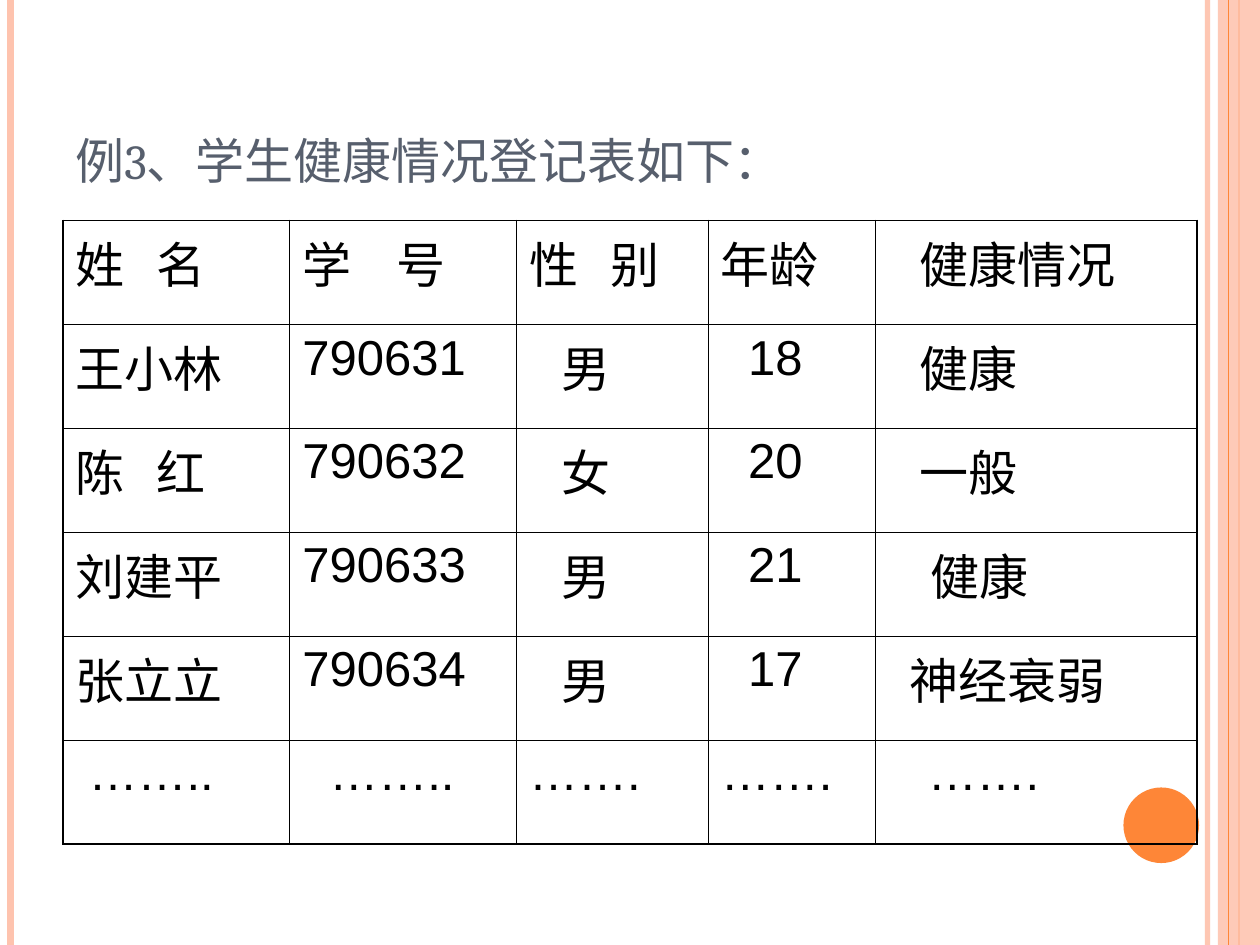
from pptx import Presentation
from pptx.dml.color import RGBColor
from pptx.enum.shapes import MSO_CONNECTOR as Connector, MSO_SHAPE as Shape
from pptx.enum.text import MSO_ANCHOR as Anchor
from pptx.oxml import parse_xml
from pptx.oxml.ns import nsdecls, qn
from pptx.util import Pt

WIDTH, HEIGHT = 720, 540
PEACH, ORANGE, SLATE, BLACK = "FEC3AE", "FE8637", "575F6D", "000000"
INSET = 7.2


def color(hex_value):
    return RGBColor.from_string(hex_value)


def element(tag, attributes="", content=""):
    """Parse one DrawingML element."""
    return parse_xml(f'<a:{tag} {nsdecls("a")} {attributes}>{content}</a:{tag}>')


def set_alpha(properties, percent):
    """Make the colour inside a shape's or line's properties translucent."""
    srgb = next(properties.iter(qn("a:srgbClr")))
    srgb.append(element("alpha", f'val="{percent * 1000}"'))


class SlideBuilder:
    title_format = {"size": Pt(28), "name": "Cambria"}
    cell_format = {"size": Pt(28), "name": "Arial"}
    outer_border, inner_border = 1.08, 0.45

    def __init__(self, slide):
        self.slide = slide

    def add_text(self, paragraph, text, format_values, hex_value):
        run = paragraph.add_run()
        run.text = text
        for attribute, value in format_values.items():
            setattr(run.font, attribute, value)
        run.font.color.rgb = color(hex_value)

    def stripe(self, x, hex_value, width, alpha=None):
        line = self.slide.shapes.add_connector(
            Connector.STRAIGHT, Pt(x), Pt(0), Pt(x), Pt(HEIGHT))
        line.line.color.rgb = color(hex_value)
        line.line.width = Pt(width)
        properties = line._element.spPr
        if alpha:
            set_alpha(properties, alpha)
        properties.append(element("effectLst"))

    def shape(self, kind, x, y, width, height, hex_value, alpha=None):
        shape = self.slide.shapes.add_shape(kind, Pt(x), Pt(y), Pt(width), Pt(height))
        shape.shadow.inherit = False
        shape.fill.solid()
        shape.fill.fore_color.rgb = color(hex_value)
        shape.line.fill.background()
        if alpha:
            set_alpha(shape._element.spPr, alpha)

    def title(self, text, x, y, width, height):
        frame = self.slide.shapes.add_textbox(
            Pt(x), Pt(y), Pt(width), Pt(height)).text_frame
        frame.word_wrap = True
        frame.vertical_anchor = Anchor.BOTTOM
        self.add_text(frame.paragraphs[0], text, self.title_format, SLATE)

    def border(self, cell, side, width):
        cell._tc.get_or_add_tcPr().append(element(
            f"ln{side}", f'w="{Pt(width)}"',
            f'<a:solidFill><a:srgbClr val="{BLACK}"/></a:solidFill>'))

    def table(self, records, x, y, column_widths, row_height, indents, tab_stops):
        """Draw records; indents maps (row, column) and tab_stops maps a column to points."""
        row_count, column_count = len(records), len(column_widths)
        grid = self.slide.shapes.add_table(
            row_count, column_count, Pt(x), Pt(y),
            Pt(sum(column_widths)), Pt(row_height * row_count)).table
        grid.first_row = grid.horz_banding = False
        for column, width in zip(grid.columns, column_widths):
            column.width = Pt(width)
        for r, record in enumerate(records):
            grid.rows[r].height = Pt(row_height)
            for c, text in enumerate(record):
                cell = grid.cell(r, c)
                edges = {"L": c == 0, "R": c == column_count - 1,
                         "T": r == 0, "B": r == row_count - 1}
                for side, is_outer in edges.items():
                    self.border(cell, side,
                                self.outer_border if is_outer else self.inner_border)
                cell.fill.background()
                cell.margin_left = Pt(INSET + indents.get((r, c), 0))
                paragraph = cell.text_frame.paragraphs[0]
                if "\t" in text:
                    paragraph._p.get_or_add_pPr().append(element(
                        "tabLst", content=f'<a:tab pos="{Pt(tab_stops[c])}" algn="l"/>'))
                self.add_text(paragraph, text, self.cell_format, BLACK)


def main():
    deck = Presentation()
    deck.slide_width, deck.slide_height = Pt(WIDTH), Pt(HEIGHT)
    builder = SlideBuilder(deck.slides.add_slide(deck.slide_layouts[6]))

    builder.stripe(690, PEACH, 3, alpha=93)
    builder.stripe(6, PEACH, 4.5)
    builder.stripe(708, ORANGE, 1.5)
    builder.shape(Shape.RECTANGLE, 696, 0, 24, HEIGHT, PEACH, alpha=87)
    builder.stripe(702, ORANGE, 0.75)
    builder.shape(Shape.OVAL, 642, 450, 43.2, 43.2, ORANGE)
    builder.title("例3、学生健康情况登记表如下：", 36, 50.4, 648, 61.2)

    students = [
        ("姓\t名", "学\t号", "性\t别", "年龄", "健康情况"),
        ("王小林", "790631", "男", "18", "健康"),
        ("陈\t红", "790632", "女", "20", "一般"),
        ("刘建平", "790633", "男", "21", "健康"),
        ("张立立", "790634", "男", "17", "神经衰弱"),
        ("……..", "……..", "…….", "…….", "……."),
    ]
    gender, age, health = 2, 3, 4
    body, last = range(1, 5), 5
    indents = {(r, gender): 18.5 for r in body}
    indents |= {(r, age): 15.5 for r in body}
    indents |= {(r, health): 18.5 for r in range(3)}
    indents |= {(3, health): 24.5, (4, health): 12.5}
    indents |= {(last, 0): 7.5, (last, 1): 15.5, (last, health): 23}
    builder.table(students, 36, 126, [129.6, 129.6, 109.6, 95.2, 184], 59.4,
                  indents, tab_stops={0: 46.5, 1: 53.5, gender: 46.5})

    deck.save("out.pptx")


if __name__ == "__main__":
    main()
